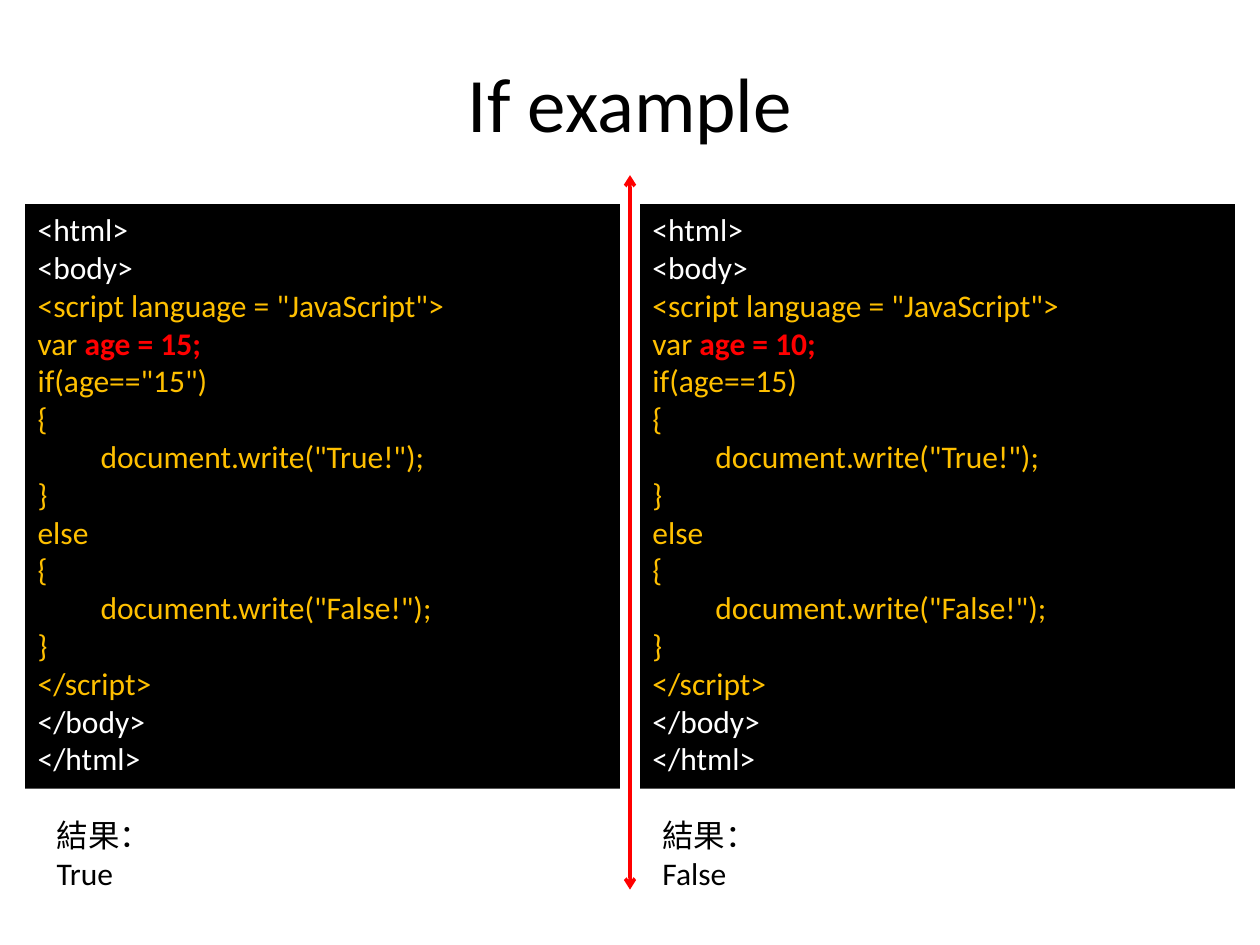
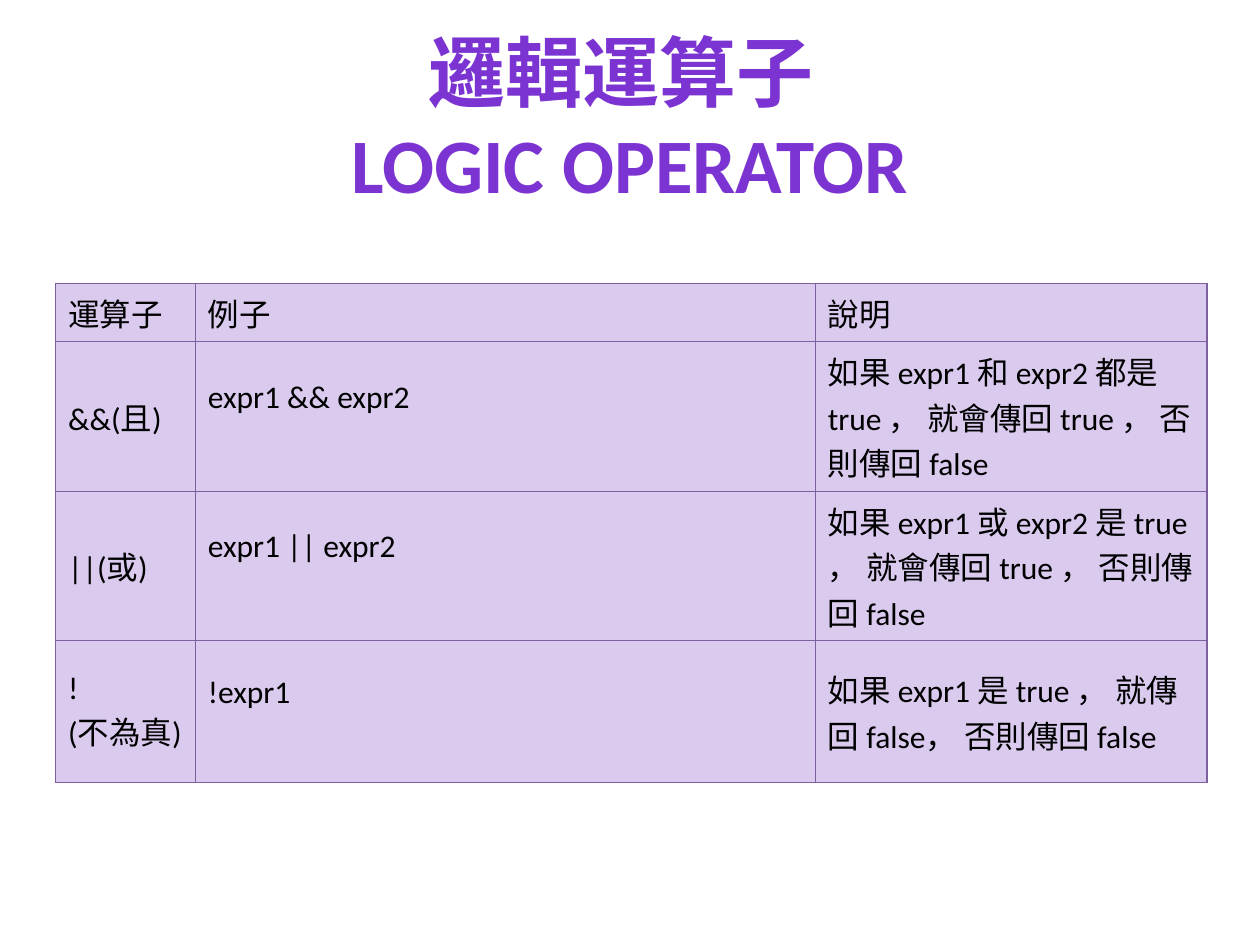
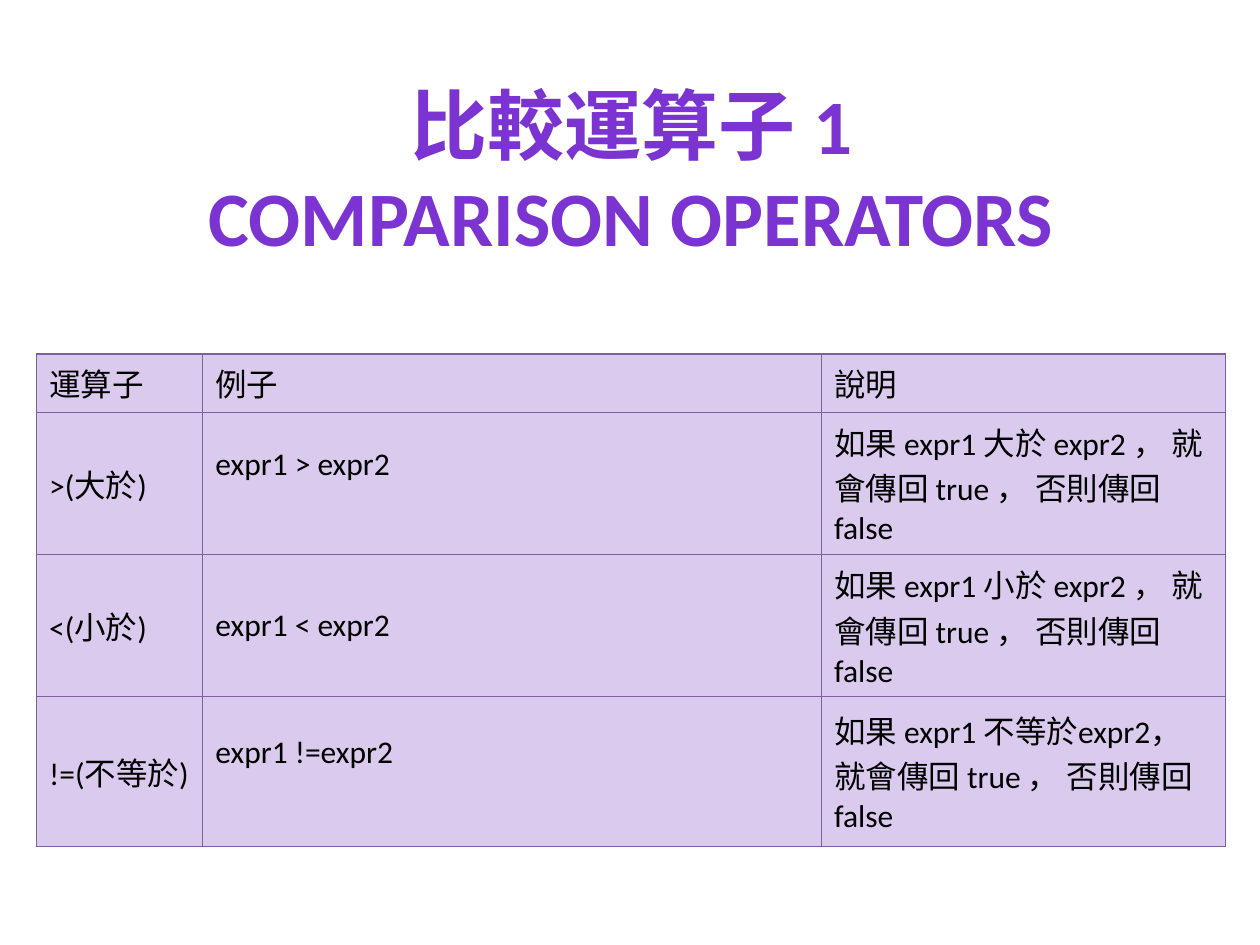
"""Build three slides on JavaScript conditions and operators."""
from lxml import etree
from pptx import Presentation
from pptx.dml.color import RGBColor
from pptx.enum.shapes import MSO_CONNECTOR, MSO_SHAPE
from pptx.enum.text import MSO_ANCHOR, PP_ALIGN
from pptx.oxml.ns import qn
from pptx.util import Inches, Pt

RECTANGLE = MSO_SHAPE.RECTANGLE
STRAIGHT = MSO_CONNECTOR.STRAIGHT
TOP, MIDDLE = MSO_ANCHOR.TOP, MSO_ANCHOR.MIDDLE
LEFT, CENTER = PP_ALIGN.LEFT, PP_ALIGN.CENTER

FONT = "Calibri"
BLACK, WHITE, RED, AMBER = "000000", "FFFFFF", "FF0000", "FFC000"
PURPLE, LAVENDER, BORDER = "7B34D2", "D9CAEE", "7D60A0"
BORDER_WIDTH = Pt(0.75)


def rgb(color):
    return RGBColor.from_string(color)


def write(para, text, size=18, color=BLACK, bold=False, align=LEFT):
    para.alignment = align
    for number, line in enumerate(text.split("\n")):
        if number:
            para.add_line_break()
        span = para.add_run()
        span.text = line
        span.font.name = FONT
        span.font.size = Pt(size)
        span.font.bold = bold
        span.font.color.rgb = rgb(color)


deck = Presentation()
deck.slide_width, deck.slide_height = Inches(10), Inches(7.5)
title_only = deck.slide_layouts[5]

titles = [
    ("If example", 0.5, 0.22, 1.17, 0.05, BLACK, False),
    ("邏輯運算子 \nLOGIC OPERATOR", 0.5, 0.3, 1.25, 0.05, PURPLE, True),
    ("比較運算子 1\nCOMPARISON OPERATORS", 0.51, 1.07, 1.25, 0.75, PURPLE, True),
]
pages = []
for text, left, top, height, bottom_margin, color, bold in titles:
    page = deck.slides.add_slide(title_only)
    title = page.shapes.title
    title.left, title.top = Inches(left), Inches(top)
    title.width, title.height = Inches(9), Inches(height)
    title.text_frame.vertical_anchor = MIDDLE
    title.text_frame.margin_bottom = Inches(bottom_margin)
    write(title.text_frame.paragraphs[0], text, size=44, color=color, bold=bold, align=CENTER)
    pages.append(page)
example_page, logic_page, comparison_page = pages

examples = [
    (0.2, "age = 15; ", 'if(age=="15")', 0.35, 1.41, "True"),
    (5.08, "age = 10; ", "if(age==15)", 5.16, 1.47, "False"),
]
for code_left, assignment, condition, result_left, result_width, result in examples:
    code_lines = [
        [("<html>", WHITE)],
        [("<body>", WHITE)],
        [('<script language = "JavaScript">', AMBER)],
        [("var ", AMBER), (assignment, RED)],
        [(condition, AMBER)],
        [("{", AMBER)],
        [('\tdocument.write("True!");', AMBER)],
        [("}", AMBER)],
        [("else", AMBER)],
        [("{", AMBER)],
        [('\tdocument.write("False!");', AMBER)],
        [("}", AMBER)],
        [("</script>", AMBER)],
        [("</body>", WHITE)],
        [("</html>", WHITE)],
    ]
    code_box = example_page.shapes.add_shape(
        RECTANGLE, Inches(code_left), Inches(1.62), Inches(4.72), Inches(4.64))
    code_box.shadow.inherit = False
    code_box.fill.solid()
    code_box.fill.fore_color.rgb = rgb(BLACK)
    code_box.line.fill.background()
    frame = code_box.text_frame
    frame.word_wrap = True
    frame.vertical_anchor = TOP
    for number, parts in enumerate(code_lines):
        para = frame.add_paragraph() if number else frame.paragraphs[0]
        for text, color in parts:
            write(para, text, color=color, bold=color == RED)

    result_box = example_page.shapes.add_textbox(
        Inches(result_left), Inches(6.43), Inches(result_width), Inches(0.4))
    result_box.text_frame.word_wrap = True
    write(result_box.text_frame.paragraphs[0], f"結果：\n{result}")

divider = example_page.shapes.add_connector(
    STRAIGHT, Inches(5), Inches(1.39), Inches(5), Inches(7.06))
divider.line.color.rgb = rgb(RED)
divider.line.width = Pt(2)
outline = divider.line._get_or_add_ln()
for end in ("a:headEnd", "a:tailEnd"):
    etree.SubElement(outline, qn(end), type="arrow")
etree.SubElement(divider._element.spPr, qn("a:effectLst"))

header = ("運算子", "例子", "說明")
outcome = "就會傳回 true ， 否則傳回 false"
tables = [
    (logic_page, 0.44, 2.25, (1.11, 4.92, 3.11), (0.44, 1.09, 1.09, 0.76), [
        header,
        ("&&(且)", "expr1_&&_expr2", f"如果_expr1_和_expr2_都是 true ， {outcome}"),
        ("||(或)", "expr1_||_expr2", f"如果_expr1_或_expr2_是 true ， {outcome}"),
        ("!\r(不為真)", "!expr1", "如果_expr1_是 true ， 就傳回 false， 否則傳回 false"),
    ], (1, 2, 3)),
    (comparison_page, 0.29, 2.81, (1.32, 4.91, 3.21), (0.44, 1.09, 1.09, 1.09), [
        header,
        (">(大於)", "expr1_>_expr2", f"如果_expr1_大於_expr2 ， {outcome}"),
        ("<(小於)", "expr1_<_expr2", f"如果_expr1_小於_expr2 ， {outcome}"),
        ("!=(不等於)", "expr1_!=expr2", f"如果_expr1_不等於expr2， {outcome}"),
    ], (1, 3)),
]
for page, left, top, widths, heights, rows, raised_rows in tables:
    table = page.shapes.add_table(
        len(rows), len(widths), Inches(left), Inches(top),
        Inches(sum(widths)), Inches(sum(heights))).table
    for column, width in zip(table.columns, widths):
        column.width = Inches(width)
    for row, height in zip(table.rows, heights):
        row.height = Inches(height)
    for row_number, texts in enumerate(rows):
        for column_number, text in enumerate(texts):
            cell = table.cell(row_number, column_number)
            cell.vertical_anchor = MIDDLE
            if column_number == 1 and row_number in raised_rows:
                cell.margin_bottom = Inches(0.35)
            for number, line in enumerate(text.replace("_", "\u00a0").split("\r")):
                frame = cell.text_frame
                para = frame.add_paragraph() if number else frame.paragraphs[0]
                write(para, line)
            properties = cell._tc.get_or_add_tcPr()
            for side in ("a:lnL", "a:lnR", "a:lnT", "a:lnB"):
                edge = etree.SubElement(properties, qn(side), w=str(BORDER_WIDTH))
                paint = etree.SubElement(edge, qn("a:solidFill"))
                etree.SubElement(paint, qn("a:srgbClr"), val=BORDER)
            cell.fill.solid()
            cell.fill.fore_color.rgb = rgb(LAVENDER)

deck.save("out.pptx")
